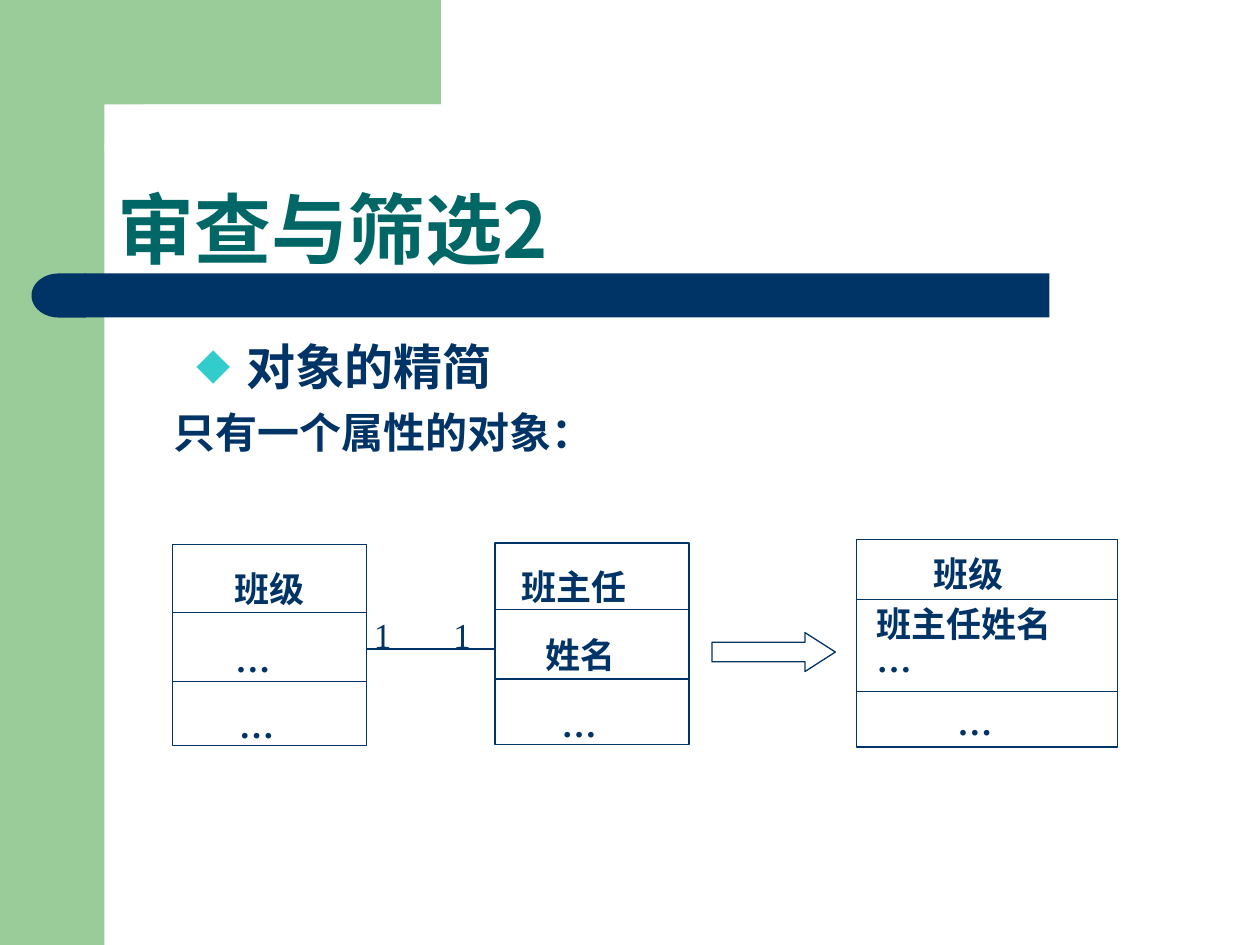
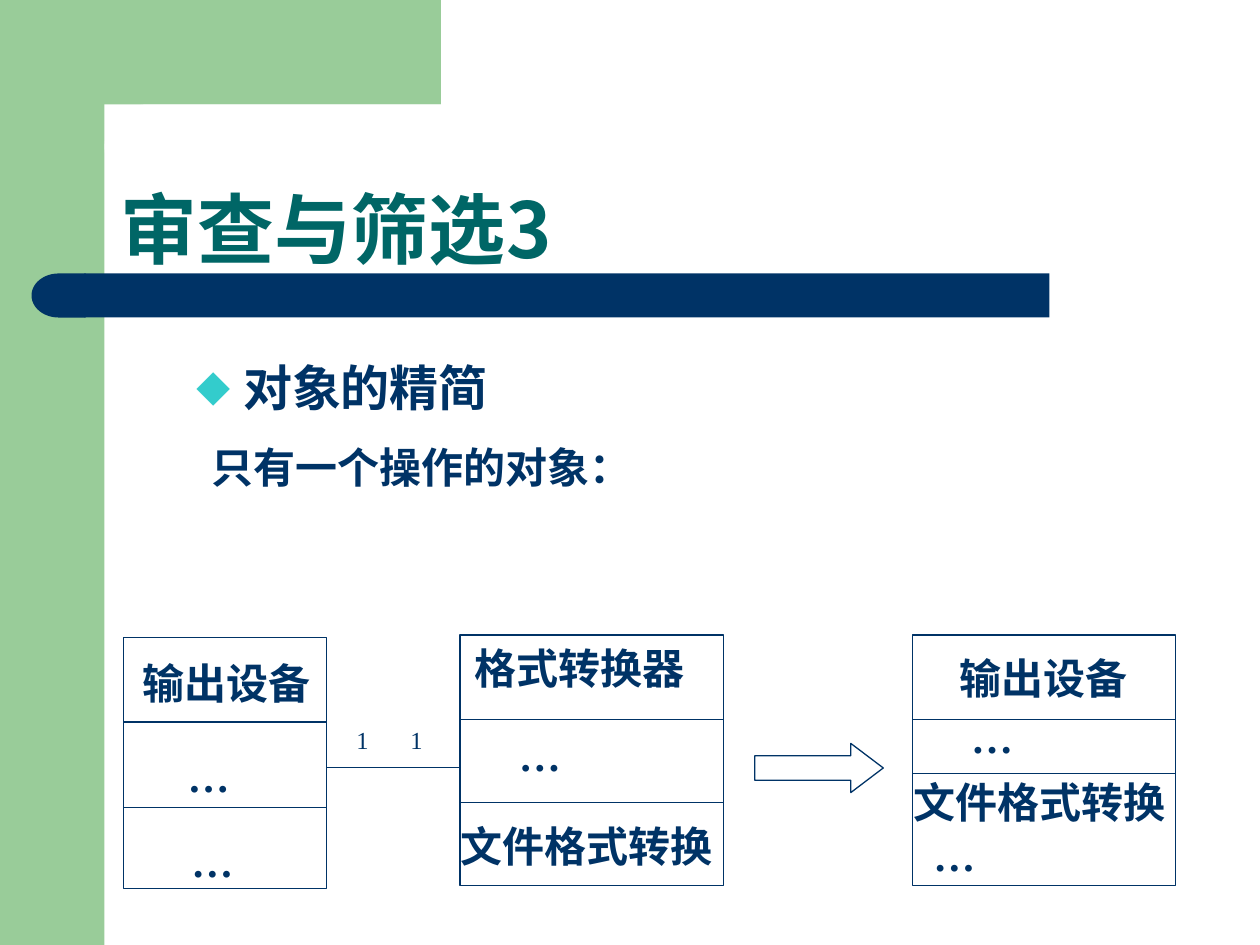
import pptx
import pptx.dml.color
import pptx.enum.shapes
import pptx.enum.text
import pptx.oxml
import pptx.oxml.ns
import pptx.util
from dataclasses import dataclass

SHAPE = pptx.enum.shapes.MSO_SHAPE
TEXT = pptx.enum.text


@dataclass(frozen=True)
class Theme:
    green: str = "99CC99"
    navy: str = "003366"
    teal: str = "006666"
    bullet: str = "33CCCC"
    white: str = "FFFFFF"
    title_font: str = "Noto Sans CJK JP"
    body_font: str = "Noto Sans CJK SC"
    label_font: str = "Times New Roman"
    title_size: int = 44
    heading_size: int = 28
    text_size: int = 24
    line_width: float = 0.75


theme = Theme()
navy = pptx.dml.color.RGBColor.from_string(theme.navy)
presentation = pptx.Presentation()
presentation.slide_width = pptx.util.Inches(10)
presentation.slide_height = pptx.util.Inches(7.5)
GRID = presentation.slide_width // 100  # square cells: 100 columns, 75 rows


def cells(*counts):
    return [round(count * GRID) for count in counts]


def add_run(paragraph, text, size, font, color=theme.navy, bold=True):
    """Add a run with its Latin and East Asian fonts."""
    run = paragraph.add_run()
    run.text = text
    run.font.size = pptx.util.Pt(size)
    run.font.bold = bold
    run.font.color.rgb = pptx.dml.color.RGBColor.from_string(color)
    run.font.name = font
    east_asian = theme.body_font if font == theme.label_font else font
    run.font._element.append(pptx.oxml.parse_xml(
        f'<a:ea {pptx.oxml.ns.nsdecls("a")} typeface="{east_asian}"/>'))


# Each class box: left, top, width, height, divider rows, labels.
# Each label: left, top, lines, indent of the last line, line height in ems.
slides = [
    dict(
        title="审查与筛选2", left=8.3,
        body=(8.3, 24.9, 78.2, 11.4),
        # text, size, margin, first-line indent, line height in points
        points=[("对象的精简", theme.heading_size, 10.3, -4, 43),
                ("只有一个属性的对象：", theme.text_size, 4.5, 0, 35)],
        label_size=20,
        classes=[
            (13.7, 43.2, 15.4, 16, (48.6, 54.1),
             [(17.6, 44.3, ["班级"], 0, 1.3), (17.7, 49.8, ["…"], 0, 1.3),
              (18, 55.1, ["…"], 0, 1.3)]),
            (39.3, 43.1, 15.4, 16, (48.4, 53.9),
             [(40.4, 44.1, ["班主任"], 0, 1.3), (42.3, 49.5, ["姓名"], 0, 1.3),
              (43.6, 55, ["…"], 0, 1.3)]),
            (68, 42.8, 20.7, 16.5, (47.6, 54.9),
             [(73.1, 43.1, ["班级"], 0, 1.3),
              (68.6, 47.9, ["班主任姓名", "…"], 0, 1),
              (75, 54.8, ["…"], 0, 1.3)]),
        ],
        link_row=51.5, ones=(28.7, 35), ones_row=48.1, ones_size=20,
        arrow=(56.5, 50.2, 9.8, 3.1), arrow_head=0.78,
    ),
    dict(
        title="审查与筛选3", left=8.6,
        body=(8.6, 25.2, 96.8, 14),
        points=[("对象的精简", theme.heading_size, 9.7, -3.7, 53),
                ("只有一个操作的对象：", theme.text_size, 7.2, 0, 43)],
        label_size=24,
        classes=[
            (9.8, 50.6, 16.1, 19.9, (57.3, 64.1),
             [(10.3, 51.4, ["输出设备"], 0, 1.3), (13.9, 58.8, ["…"], 0, 1.3),
              (14.2, 65.5, ["…"], 0, 1.3)]),
            (36.5, 50.4, 20.9, 19.9, (57.1, 63.7),
             [(36.7, 50.2, ["格式转换器"], 0, 1.3), (40.2, 57.1, ["…"], 0, 1.3),
              (35.6, 64.3, ["文件格式转换"], 0, 1.3)]),
            (72.4, 50.4, 20.9, 19.9, (57.1, 61.4),
             [(75.2, 51, ["输出设备"], 0, 1.3), (76.1, 55.7, ["…"], 0, 1.3),
              (71.5, 61, ["文件格式转换", "…"], 1.6, 1.25)]),
        ],
        link_row=60.9, ones=(27.3, 31.6), ones_row=56.9, ones_size=14,
        arrow=(59.9, 59, 10.2, 3.9), arrow_head=0.66,
    ),
]

# Shared bands, drawn on a slide and then moved to its layout
layout = presentation.slide_layouts[1]
bands = [
    (SHAPE.RECTANGLE, (0, 0, 8.3, 75), theme.green),
    (SHAPE.RECTANGLE, (7.5, 0, 27.5, 8.3), theme.green),
    (SHAPE.ROUNDED_RECTANGLE, (8.3, 8.3, 55.8, 6.7), theme.white),
    (SHAPE.RECTANGLE, (6.7, 21.7, 76.6, 3.5), theme.navy),
    (SHAPE.FLOWCHART_DELAY, (2.5, 21.7, 4.3, 3.5), theme.navy),
]
first_slide = presentation.slides.add_slide(layout)
for number, (kind, box, color) in enumerate(bands):
    band = first_slide.shapes.add_shape(kind, *cells(*box))
    band.shadow.inherit = False
    band.fill.solid()
    band.fill.fore_color.rgb = pptx.dml.color.RGBColor.from_string(color)
    band.line.fill.background()
    if kind == SHAPE.ROUNDED_RECTANGLE:
        band.adjustments[0] = 0.5
    if kind == SHAPE.FLOWCHART_DELAY:
        band.rotation = 180
    band.element.nvSpPr.cNvPr.set("id", str(101 + number))
    layout.shapes.element.insert(2 + number, band.element)

for number, content in enumerate(slides):
    slide = presentation.slides.add_slide(layout) if number else first_slide

    title = slide.shapes.title
    title.left, title.top, title.width, title.height = cells(
        content["left"], 15.5, 85, 6.3)
    frame = title.text_frame
    frame.auto_size = TEXT.MSO_AUTO_SIZE.NONE
    frame.vertical_anchor = TEXT.MSO_ANCHOR.BOTTOM
    frame.margin_bottom = 0
    paragraph = frame.paragraphs[0]
    paragraph.alignment = TEXT.PP_ALIGN.LEFT
    paragraph.line_spacing = 0.9
    add_run(paragraph, content["title"], theme.title_size, theme.title_font, theme.teal)

    body = slide.placeholders[1]
    body.left, body.top, body.width, body.height = cells(*content["body"])
    frame = body.text_frame
    frame.auto_size = TEXT.MSO_AUTO_SIZE.NONE
    frame.margin_bottom = 0
    for index, (text, size, margin, indent, height) in enumerate(content["points"]):
        paragraph = frame.add_paragraph() if index else frame.paragraphs[0]
        properties = paragraph._p.get_or_add_pPr()
        properties.set("marL", str(cells(margin)[0]))
        properties.set("indent", str(cells(indent)[0]))
        bullet = ["<a:buNone {0}/>"] if index else [
            f'<a:buClr {{0}}><a:srgbClr val="{theme.bullet}"/></a:buClr>',
            '<a:buSzPct {0} val="70000"/>',
            f'<a:buFont {{0}} typeface="{theme.body_font}"/>',
            '<a:buChar {0} char="◆"/>']
        for element in bullet:
            properties.append(pptx.oxml.parse_xml(
                element.format(pptx.oxml.ns.nsdecls("a"))))
        paragraph.space_before = pptx.util.Pt(0)
        paragraph.line_spacing = pptx.util.Pt(height)
        add_run(paragraph, text, size, theme.body_font)

    outlines = []
    lines = []
    labels = []
    for left, top, width, height, dividers, class_labels in content["classes"]:
        outlines.append(slide.shapes.add_shape(
            SHAPE.RECTANGLE, *cells(left, top, width, height)))
        lines += [(left, left + width, row) for row in dividers]
        labels += [(*label, content["label_size"], True) for label in class_labels]
    (first_left, _, first_width, *_), (second_left, *_), _ = content["classes"]
    lines.append((first_left + first_width, second_left, content["link_row"]))
    labels += [(left, content["ones_row"], ["1"], 0, 1.25, content["ones_size"], False)
               for left in content["ones"]]

    arrow = slide.shapes.add_shape(SHAPE.RIGHT_ARROW, *cells(*content["arrow"]))
    arrow.adjustments[1] = content["arrow_head"]
    for outline in outlines + [arrow]:
        outline.shadow.inherit = False
        outline.fill.background()
        outline.line.color.rgb = navy
        outline.line.width = pptx.util.Pt(theme.line_width)

    for start, end, row in lines:
        line = slide.shapes.add_connector(
            pptx.enum.shapes.MSO_CONNECTOR.STRAIGHT, *cells(start, row, end, row))
        line.line.color.rgb = navy
        line.line.width = pptx.util.Pt(theme.line_width)
        line.element.spPr.append(pptx.oxml.parse_xml(
            f'<a:effectLst {pptx.oxml.ns.nsdecls("a")}/>'))

    for left, top, texts, last_indent, spacing, size, bold in labels:
        em = size / 7.2
        width = 2 + em * max(len(text) for text in texts)
        height = 1 + em * spacing * len(texts)
        box = slide.shapes.add_textbox(*cells(left, top, width, height))
        frame = box.text_frame
        frame.word_wrap = False
        for index, text in enumerate(texts):
            paragraph = frame.add_paragraph() if index else frame.paragraphs[0]
            paragraph.line_spacing = pptx.util.Pt(round(size * spacing))
            if index:
                paragraph._p.get_or_add_pPr().set("marL", str(cells(last_indent)[0]))
            add_run(paragraph, text, size, theme.label_font, bold=bold)

presentation.save("out.pptx")
